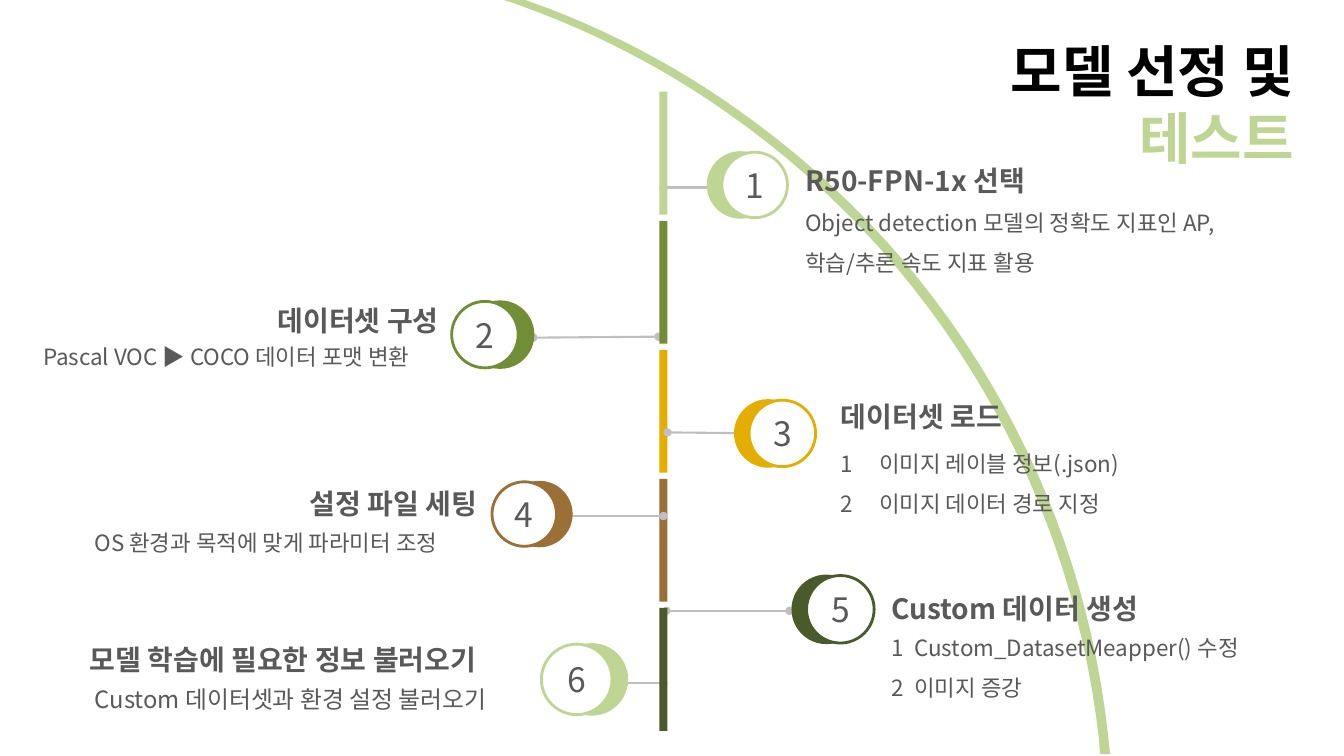
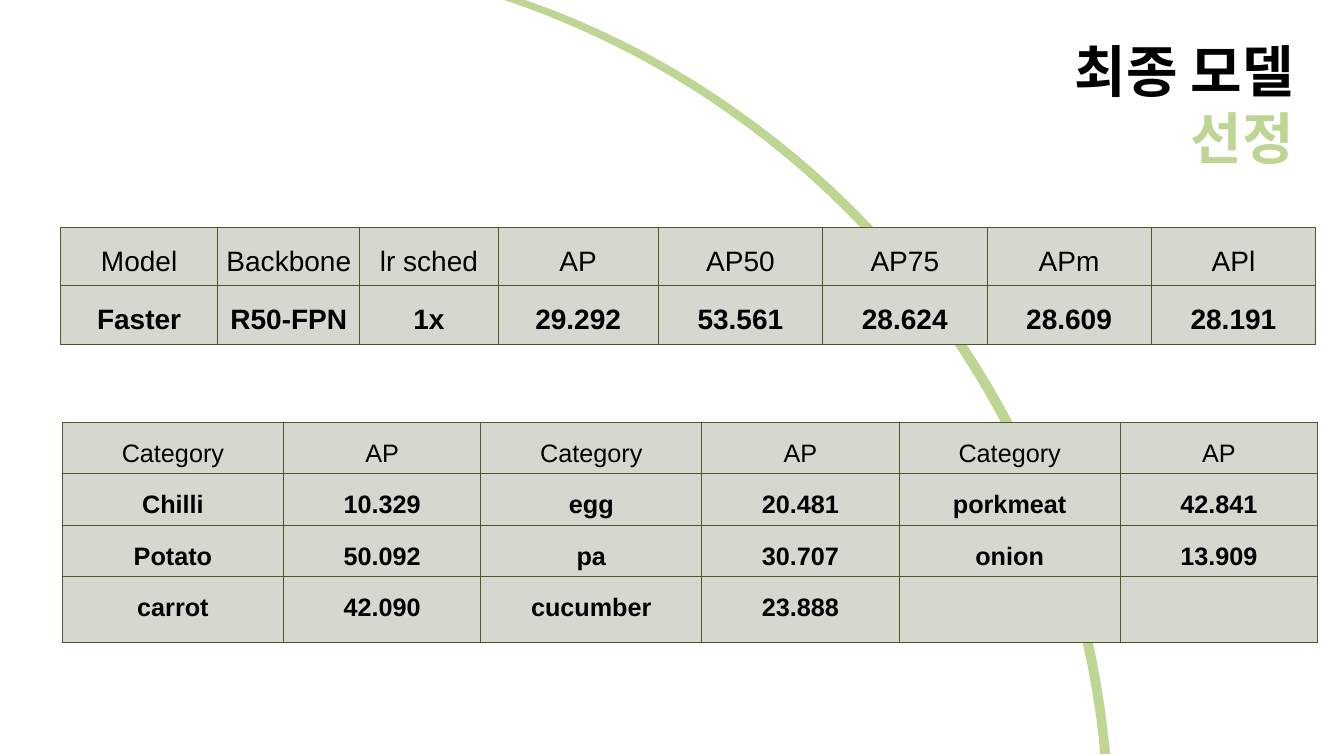
from dataclasses import dataclass

from pptx import Presentation
from pptx import util as u
from pptx.dml.color import RGBColor
from pptx.enum import shapes, text
from pptx.oxml.ns import qn
from pptx.oxml.xmlchemy import OxmlElement


@dataclass(frozen=True)
class Theme:
    korean: str = "Noto Sans CJK KR"
    latin: str = "Arial"
    black: str = "000000"
    white: str = "FFFFFF"
    gray: str = "595959"
    wire: str = "BFBFBF"
    lime: str = "BFD594"
    green: str = "718E37"
    gold: str = "E3AE00"
    brown: str = "9A7037"
    forest: str = "4A5A2B"
    cell: str = "D4D8CE"
    border: str = "495929"
    title: int = 40
    number: int = 24
    heading: int = 20
    detail: int = 16


theme = Theme()
LEFT, CENTER, RIGHT = text.PP_ALIGN.LEFT, text.PP_ALIGN.CENTER, text.PP_ALIGN.RIGHT


def write(frame, lines, size, color=theme.gray, bold=False, align=LEFT, font=theme.korean,
          spacing=None, indent=0, hang=0):
    for index, line in enumerate(lines):
        para = frame.add_paragraph() if index else frame.paragraphs[0]
        props = para._p.get_or_add_pPr()
        props.set("marL", str(u.Inches(indent)))
        props.set("indent", str(u.Inches(-hang)))
        if hang:
            bullet_font = OxmlElement("a:buFont")
            bullet_font.set("typeface", font)
            bullet = OxmlElement("a:buAutoNum")
            bullet.set("type", "arabicPlain")
            props.extend([bullet_font, bullet])
        para.alignment = align
        para.space_before = u.Pt(0)
        if spacing:
            para.line_spacing = spacing
        span = para.add_run()
        span.text = line
        span.font.size = u.Pt(size)
        span.font.bold = bold
        span.font.name = font
        span.font.color.rgb = RGBColor.from_string(color)
        east_asian = OxmlElement("a:ea")
        east_asian.set("typeface", font)
        span.font._element.find(qn("a:latin")).addnext(east_asian)


def draw(page, kind, left, top, width, height, fill, outline=None):
    shape = page.shapes.add_shape(kind, *map(u.Inches, (left, top, width, height)))
    shape.shadow.inherit = False
    shape.fill.solid()
    shape.fill.fore_color.rgb = RGBColor.from_string(fill)
    if outline:
        shape.line.color.rgb = RGBColor.from_string(outline)
        shape.line.width = u.Pt(2)
    else:
        shape.line.fill.background()
    return shape


deck = Presentation()
deck.slide_width, deck.slide_height = u.Inches(13.33), u.Inches(7.5)
master_title = deck.slide_master.placeholders[0]
master_title.left, master_title.top = u.Inches(7.99), u.Inches(0.31)
master_title.width, master_title.height = u.Inches(4.94), u.Inches(1.39)
master_title.text_frame.vertical_anchor = text.MSO_ANCHOR.TOP
master_title.text_frame.auto_size = text.MSO_AUTO_SIZE.NONE

steps_page = deck.slides.add_slide(deck.slide_layouts.get_by_name("Two Content"))
result_page = deck.slides.add_slide(deck.slide_layouts.get_by_name("Title Only"))

for page, lines in ((steps_page, ("모델 선정 및", "테스트")), (result_page, ("최종 모델", "선정"))):
    frame = page.shapes.title.text_frame
    write(frame, lines, theme.title, color=theme.black, bold=True, align=RIGHT)
    frame.paragraphs[1].runs[0].font.color.rgb = RGBColor.from_string(theme.lime)

curves = [
    [(5.43, 0.08), (6.08, 0.33), (6.71, 0.66), (7.29, 1.07)],
    [(7.29, 1.07), (9.41, 2.55), (10.72, 4.83), (10.99, 7.29)],
    [(10.9, 7.33), (10.62, 4.87), (9.32, 2.59), (7.2, 1.11)],
    [(7.2, 1.11), (6.53, 0.64), (5.81, 0.28), (5.06, 0.02)],
]
sampled = []
for curve in curves:
    for step in range(31):
        t = step / 30
        weights = ((1 - t) ** 3, 3 * t * (1 - t) ** 2, 3 * t ** 2 * (1 - t), t ** 3)
        sampled.append(tuple(sum(w * point[axis] for w, point in zip(weights, curve))
                             for axis in (0, 1)))
half = len(sampled) // 2
outline = [(5, 0), (5.21, 0), *sampled[:half], (11.01, 7.48), (10.91, 7.48), *sampled[half:]]
outline = [(u.Inches(x), u.Inches(y)) for x, y in outline]
builder = steps_page.shapes.build_freeform(*outline[0])
builder.add_line_segments(outline[1:], close=True)
arc = builder.convert_to_shape()
arc.shadow.inherit = False
arc.fill.solid()
arc.fill.fore_color.rgb = RGBColor.from_string(theme.lime)
arc.line.fill.background()
arc.element.nvSpPr.cNvPr.set("id", "20")
master_title.element.addprevious(arc.element)

wires = []
for ends in (
    (6.58, 1.86, 7.48, 1.86),
    (6.19, 6.78, 6.58, 6.78),
    (6.61, 6.06, 7.83, 6.06),
    (5.29, 3.35, 6.53, 3.34),
    (6.62, 4.29, 7.63, 4.3),
    (5.58, 5.12, 6.58, 5.12),
):
    wire = steps_page.shapes.add_connector(shapes.MSO_CONNECTOR.STRAIGHT, *map(u.Inches, ends))
    wire.line.color.rgb = RGBColor.from_string(theme.wire)
    wire.line.width = u.Pt(1.5)
    for tag in ("a:headEnd", "a:tailEnd"):
        dot = OxmlElement(tag)
        dot.set("type", "oval")
        wire.element.spPr.find(qn("a:ln")).append(dot)
    wire.element.spPr.append(OxmlElement("a:effectLst"))
    wires.append(wire)

for index, color in enumerate((theme.lime, theme.green, theme.gold, theme.brown, theme.forest)):
    draw(steps_page, shapes.MSO_SHAPE.RECTANGLE, 6.54, 0.91 + 1.28 * index, 0.08, 1.22, color)
for wire in wires[4:]:
    wire.element.getparent().append(wire.element)

rings = [
    (7.16, 1.51, 0.65, theme.lime),
    (4.48, 2.99, 0.66, theme.green),
    (7.43, 3.97, 0.66, theme.gold),
    (4.88, 4.78, 0.64, theme.brown),
    (8, 5.71, 0.67, theme.forest),
    (5.37, 6.39, 0.7, theme.lime),
]
for number, (left, top, size, color) in enumerate(rings, 1):
    shift = -0.15 if number % 2 else 0.14
    draw(steps_page, shapes.MSO_SHAPE.OVAL, left + shift, top - 0.01,
         size + 0.02, size + 0.02, color)
    ring = draw(steps_page, shapes.MSO_SHAPE.OVAL, left, top, size, size, theme.white, color)
    ring.text_frame.vertical_anchor = text.MSO_ANCHOR.MIDDLE
    write(ring.text_frame, [str(number)], theme.number, align=CENTER)

heading = dict(size=theme.heading, bold=True)
detail = dict(size=theme.detail, indent=0.13)
notes = [
    ((7.89, 1.57, 4.83, 0.46), ["R50-FPN-1x 선택"], heading),
    ((7.76, 1.89, 4.94, 0.81),
     ["Object detection 모델의 정확도 지표인 AP,", "학습/추론 속도 지표 활용"],
     {**detail, "spacing": 1.5}),
    ((0.16, 2.96, 4.29, 0.33), ["데이터셋 구성"], {**heading, "align": RIGHT}),
    ((0.2, 3.36, 4.28, 0.7), ["Pascal VOC ▶ COCO 데이터 포맷 변환"], detail),
    ((8.24, 3.91, 3.75, 0.34), ["데이터셋 로드"], heading),
    ((1.08, 4.78, 3.75, 0.34), ["설정 파일 세팅"], {**heading, "align": RIGHT}),
    ((0.71, 5.2, 4.19, 0.71), ["OS 환경과 목적에 맞게 파라미터 조정"], detail),
    ((8.74, 5.82, 3.75, 0.34), ["Custom 데이터 생성"], heading),
    ((0.79, 6.32, 4.55, 0.34), ["모델 학습에 필요한 정보 불러오기"], heading),
    ((0.71, 6.74, 4.58, 0.6), ["Custom 데이터셋과 환경 설정 불러오기"], {**detail, "size": 17}),
]
for place, lines, style in notes:
    box = steps_page.shapes.add_textbox(*map(u.Inches, place))
    box.text_frame.word_wrap = True
    write(box.text_frame, lines, **style)

numbered_lists = [
    (1, (8.11, 4.28, 3.74, 1.03), ["이미지 레이블 정보(.json)", "이미지 데이터 경로 지정"], 0.51, 0.38),
    (2, (8.61, 6.11, 4.19, 0.68), ["Custom_DatasetMeapper() 수정", "이미지 증강"], 0.36, 0.23),
]
for slot, place, lines, indent, hang in numbered_lists:
    body = steps_page.placeholders[slot]
    body.left, body.top, body.width, body.height = map(u.Inches, place)
    body.text_frame.auto_size = text.MSO_AUTO_SIZE.NONE
    write(body.text_frame, lines, theme.detail, spacing=1.5, indent=indent, hang=hang)

tables = [
    (0.6, 2.26, 20, [1.56, 1.41, 1.37, 1.59] + [1.63] * 4, [0.57, 0.59], [
        ["Model", "Backbone", "lr sched", "AP", "AP50", "AP75", "APm", "APl"],
        ["Faster", "R50-FPN", "1x", "29.292", "53.561", "28.624", "28.609", "28.191"],
    ]),
    (0.62, 4.19, 18, [2.19, 1.96] * 3, [0.51, 0.51, 0.51, 0.65], [
        ["Category", "AP"] * 3,
        ["Chilli", "10.329", "egg", "20.481", "porkmeat", "42.841"],
        ["Potato", "50.092", "pa", "30.707", "onion", "13.909"],
        ["carrot", "42.090", "cucumber", "23.888", "", ""],
    ]),
]
for left, top, size, widths, heights, rows in tables:
    place = map(u.Inches, (left, top, sum(widths), sum(heights)))
    table = result_page.shapes.add_table(len(rows), len(widths), *place).table
    table.first_row = table.horz_banding = False
    for column, width in zip(table.columns, widths):
        column.width = u.Inches(width)
    for row, height in zip(table.rows, heights):
        row.height = u.Inches(height)
    for row_index, row in enumerate(rows):
        for column_index, value in enumerate(row):
            cell = table.cell(row_index, column_index)
            cell.margin_left = cell.margin_right = u.Inches(0.03)
            cell.margin_top = cell.margin_bottom = u.Inches(0.03)
            for side in ("a:lnL", "a:lnR", "a:lnT", "a:lnB"):
                edge = OxmlElement(side)
                edge.set("w", str(u.Pt(0.75)))
                paint = OxmlElement("a:solidFill")
                shade = OxmlElement("a:srgbClr")
                shade.set("val", theme.border)
                paint.append(shade)
                edge.append(paint)
                cell._tc.get_or_add_tcPr().append(edge)
            cell.fill.solid()
            cell.fill.fore_color.rgb = RGBColor.from_string(theme.cell)
            if value:
                write(cell.text_frame, [value], size, color=theme.black, bold=row_index > 0,
                      align=CENTER, font=theme.latin, spacing=1.5)

deck.save("out.pptx")
